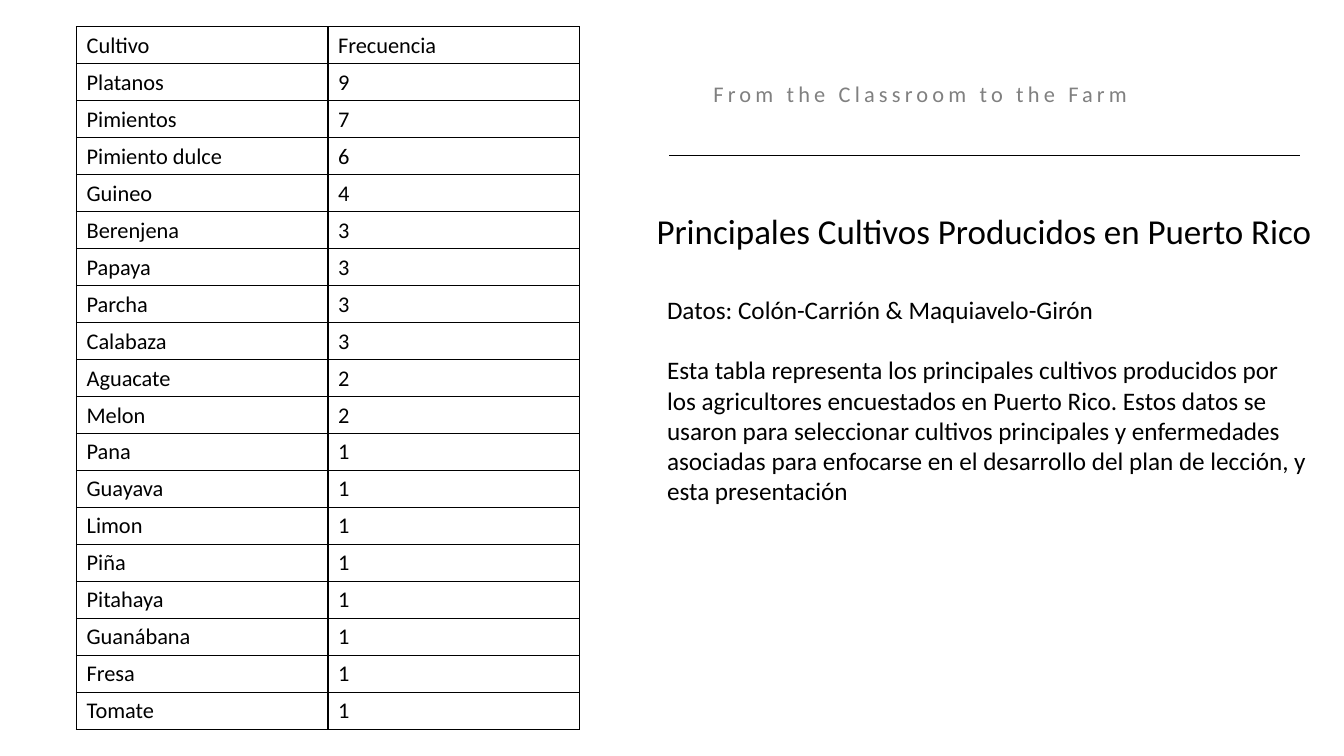
import pptx
import pptx.util
import pptx.dml.color
import pptx.enum.shapes
import pptx.enum.text
import pptx.oxml
import pptx.oxml.ns
import lxml.etree

Pt = pptx.util.Pt
BLACK = pptx.dml.color.RGBColor(0, 0, 0)
GRAY = pptx.dml.color.RGBColor(128, 128, 128)
qn = pptx.oxml.ns.qn

CROPS = [
    ("Cultivo", "Frecuencia"),
    ("Platanos", 9),
    ("Pimientos", 7),
    ("Pimiento dulce", 6),
    ("Guineo", 4),
    ("Berenjena", 3),
    ("Papaya", 3),
    ("Parcha", 3),
    ("Calabaza", 3),
    ("Aguacate", 2),
    ("Melon", 2),
    ("Pana", 1),
    ("Guayava", 1),
    ("Limon", 1),
    ("Piña", 1),
    ("Pitahaya", 1),
    ("Guanábana", 1),
    ("Fresa", 1),
    ("Tomate", 1),
]


class Page:
    face = "Calibri"

    def __init__(self, slide):
        self.slide = slide
        self.shapes = slide.shapes

    def font(self, para, size, color=BLACK):
        para.font.name = self.face
        para.font.size = Pt(size)
        para.font.color.rgb = color

    def text(self, lines, x, y, w, h, size, color=BLACK, align=None,
             pitch=None, gap=0, track=0, shapes=None):
        box = (shapes or self.shapes).add_textbox(Pt(x), Pt(y), Pt(w), Pt(h))
        frame = box.text_frame
        frame.word_wrap = True
        frame.auto_size = pptx.enum.text.MSO_AUTO_SIZE.SHAPE_TO_FIT_TEXT
        frame.text = "\n".join(lines)
        for i, para in enumerate(frame.paragraphs):
            self.font(para, size, color)
            para.alignment = align
            para.line_spacing = pitch
            if i and gap:
                para.space_before = Pt(gap)
            if track:
                for run in para.runs:
                    run.font._element.set("spc", str(track * 100))

    def rule(self, x, y, end, width, shapes):
        line = shapes.add_connector(
            pptx.enum.shapes.MSO_CONNECTOR.STRAIGHT, Pt(x), Pt(y), Pt(end), Pt(y))
        line.line.color.rgb = BLACK
        line.line.width = Pt(width)
        lxml.etree.SubElement(line._element.spPr, qn("a:effectLst"))

    def border(self, cell, width):
        props = cell._tc.get_or_add_tcPr()
        for i, side in enumerate(("a:lnL", "a:lnR", "a:lnT", "a:lnB")):
            edge = lxml.etree.Element(qn(side), w=str(Pt(width)))
            fill = lxml.etree.SubElement(edge, qn("a:solidFill"))
            lxml.etree.SubElement(fill, qn("a:srgbClr"), val=str(BLACK))
            props.insert(i, edge)

    def table(self, rows, x, y, w, pitch, size):
        grid = self.shapes.add_table(
            len(rows), len(rows[0]), Pt(x), Pt(y), Pt(w), Pt(pitch * len(rows))).table
        grid.first_row = False
        grid.horz_banding = False
        for r, row in enumerate(rows):
            grid.rows[r].height = Pt(pitch)
            for c, value in enumerate(row):
                cell = grid.cell(r, c)
                cell.text = str(value)
                cell.fill.background()
                self.font(cell.text_frame.paragraphs[0], size)
                self.border(cell, 1)


def main():
    deck = pptx.Presentation()
    deck.slide_width = Pt(960)
    deck.slide_height = Pt(540)
    page = Page(deck.slides.add_slide(deck.slide_layouts[6]))

    head = page.shapes.add_group_shape().shapes
    page.text(["From the Classroom to the Farm"], 502.5, 44, 359.3, 33.1, 16,
              GRAY, pitch=1.5, track=3, shapes=head)
    page.rule(478, 110.9, 928.8, 0.5, head)

    page.text(["Principales Cultivos Producidos en Puerto Rico"],
              445.7, 133.9, 514.1, 46.1, 25,
              align=pptx.enum.text.PP_ALIGN.CENTER, pitch=1.4)
    page.text(["Datos: Colón-Carrión & Maquiavelo-Girón",
               "Esta tabla representa los principales cultivos producidos por los "
               "agricultores encuestados en Puerto Rico. Estos datos se usaron para "
               "seleccionar cultivos principales y enfermedades asociadas para "
               "enfocarse en el desarrollo del plan de lección, y esta presentación"],
              469.4, 206.6, 473, 159.8, 18, gap=21.6)
    page.table(CROPS, 54.7, 19.1, 359.2, 26.4, 16)
    deck.save("out.pptx")


if __name__ == "__main__":
    main()
